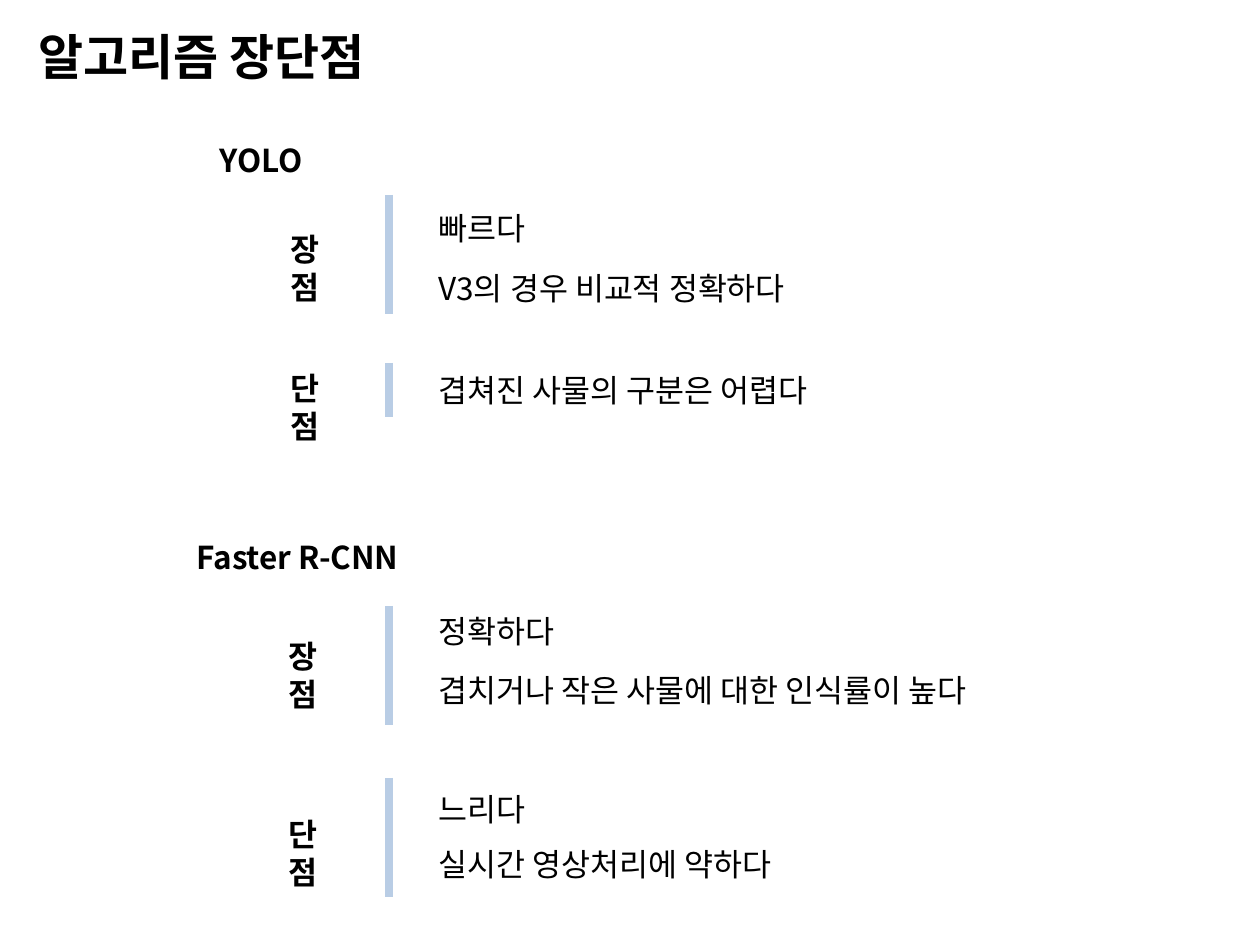
from lxml import etree
from pptx import Presentation
from pptx.dml.color import RGBColor
from pptx.enum.shapes import MSO_CONNECTOR
from pptx.enum.text import MSO_AUTO_SIZE
from pptx.oxml.ns import qn
from pptx.util import Pt

STRAIGHT = MSO_CONNECTOR.STRAIGHT
GROW = MSO_AUTO_SIZE.SHAPE_TO_FIT_TEXT
EMU_PER_PIXEL = 914400 / 126
FONT = "Noto Sans CJK KR"
BLACK = "000000"
BAR_COLOR = "B9CDE5"
BAR_X = 389
STATEMENT_X = 426
LABEL_WIDTH = 82
LINE_HEIGHT = 50

# Each heading: text, left, top, width
HEADINGS = [
    ("YOLO", 207, 135, 108),
    ("Faster R-CNN", 184, 532, 232),
]

# Each group: label, label left, label top, bar top, bar bottom,
# statements as (text, top, width)
GROUPS = [
    ("장점", 278, 224, 195, 314,
     [("빠르다", 203, 121), ("V3의 경우 비교적 정확하다", 263, 415)]),
    ("단점", 278, 363, 363, 417,
     [("겹쳐진 사물의 구분은 어렵다", 365, 441)]),
    ("장점", 276, 631, 606, 725,
     [("정확하다", 606, 152), ("겹치거나 작은 사물에 대한 인식률이 높다", 665, 622)]),
    ("단점", 276, 809, 778, 897,
     [("느리다", 784, 121), ("실시간 영상처리에 약하다", 839, 398)]),
]


def px(pixels):
    return round(pixels * EMU_PER_PIXEL)


def color(hex_string):
    return RGBColor.from_string(hex_string)


def add_text(slide, text, left, top, width, height=LINE_HEIGHT, size=18, bold=True):
    box = slide.shapes.add_textbox(px(left), px(top), px(width), px(height))
    frame = box.text_frame
    frame.word_wrap = False
    frame.auto_size = GROW
    paragraph = frame.paragraphs[0]
    paragraph.text = text
    font = paragraph.font
    font.size = Pt(size)
    font.bold = bold
    font.color.rgb = color(BLACK)
    font.name = FONT
    # Hangul takes the East Asian typeface
    properties = paragraph.runs[0].font
    properties.name = FONT
    latin = box.element.findall(".//" + qn("a:latin"))
    for element in latin:
        east_asian = etree.Element(qn("a:ea"), typeface=FONT)
        element.addnext(east_asian)


def add_bar(slide, top, bottom):
    bar = slide.shapes.add_connector(STRAIGHT, px(BAR_X), px(top), px(BAR_X), px(bottom))
    bar.line.color.rgb = color(BAR_COLOR)
    bar.line.width = Pt(4.5)
    etree.SubElement(bar.element.spPr, qn("a:effectLst"))


def add_group(slide, label, left, label_top, bar_top, bar_bottom, statements):
    add_text(slide, label, left, label_top, LABEL_WIDTH)
    add_bar(slide, bar_top, bar_bottom)
    for text, top, width in statements:
        add_text(slide, text, STATEMENT_X, top, width, bold=False)


def main():
    presentation = Presentation()
    presentation.slide_width = px(1260)
    presentation.slide_height = px(945)
    slide = presentation.slides.add_slide(presentation.slide_layouts[6])

    # Title and algorithm names
    add_text(slide, "알고리즘 장단점", 26, 20, 389, height=72, size=28)
    for heading in HEADINGS:
        add_text(slide, *heading)

    # Strengths and weaknesses
    for group in GROUPS:
        add_group(slide, *group)

    presentation.save("out.pptx")


main()
